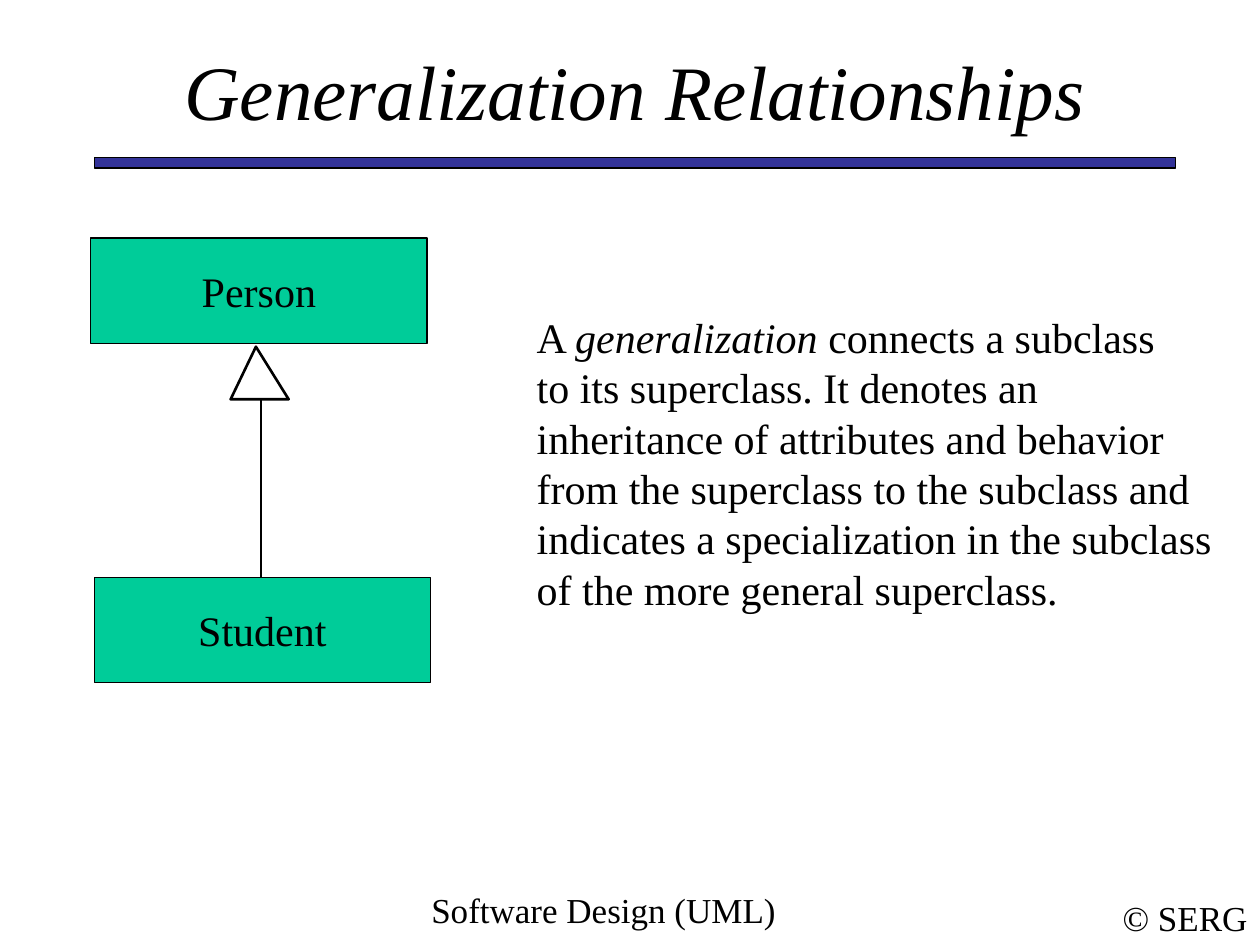
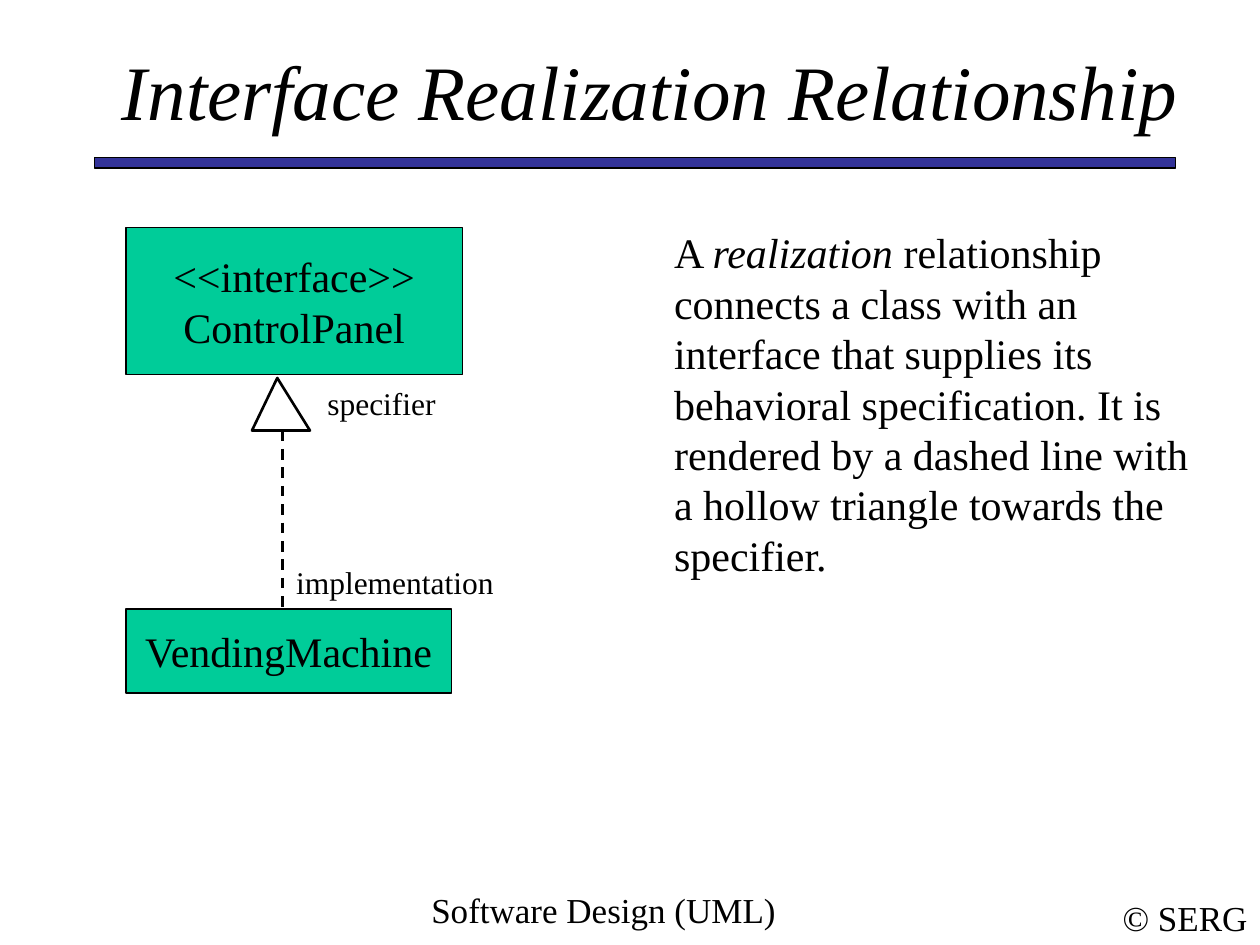
from lxml import etree
from pptx import Presentation
from pptx.dml.color import RGBColor
from pptx.enum.dml import MSO_LINE
from pptx.enum.shapes import MSO_CONNECTOR, MSO_SHAPE
from pptx.enum.text import MSO_ANCHOR, PP_ALIGN
from pptx.oxml.ns import qn
from pptx.util import Cm, Pt

LEFT, CENTER = PP_ALIGN.LEFT, PP_ALIGN.CENTER
TOP, MIDDLE = MSO_ANCHOR.TOP, MSO_ANCHOR.MIDDLE
SOLID, DASH = MSO_LINE.SOLID, MSO_LINE.DASH
RECTANGLE, STRAIGHT = MSO_SHAPE.RECTANGLE, MSO_CONNECTOR.STRAIGHT
TITLE_ONLY = 5

FONT = "Times New Roman"
COLORS = {"text": "000000", "line": "000000", "bar": "333399",
          "class": "00CC99", "triangle": "FFFFFF"}

# Content: boxes are (left, top, width, height) in cm, *stars* mark italics
SLIDES = [
    {
        "title": "Generalization Relationships",
        "title_width": 21.8,
        "classes": [
            (["Person"], (1.83, 4.8, 6.78, 2.12)),
            (["Student"], (1.9, 11.64, 6.78, 2.12)),
        ],
        "arrow": (4.65, 6.99, SOLID),
        "explanation": [
            "A *generalization* connects a subclass",
            "to its superclass. It denotes an",
            "inheritance of attributes and behavior",
            "from the superclass to the subclass and",
            "indicates a specialization in the subclass",
            "of the more general superclass.",
        ],
        "explanation_box": (10.57, 6.15, 14.12, 6.35),
        "wrap": False,
        "roles": [],
    },
    {
        "title": "Interface Realization Relationship",
        "title_width": 22.43,
        "classes": [
            (["<<interface>>", "ControlPanel"], (2.54, 4.59, 6.78, 2.96)),
            (["VendingMachine"], (2.54, 12.28, 6.56, 1.69)),
        ],
        "arrow": (5.08, 7.62, DASH),
        "explanation": [
            "A *realization* relationship connects a class with an interface "
            "that supplies its behavioral specification. It is rendered by a "
            "dashed line with a hollow triangle towards the specifier.",
        ],
        "explanation_box": (13.34, 4.45, 11, 7.37),
        "wrap": True,
        "roles": [
            ("specifier", (6.35, 7.62, 2.75, 1.02)),
            ("implementation", (5.72, 11.23, 4.66, 1.02)),
        ],
    },
]

# Shared slide parts
FOOTER = ("Software Design (UML)", (6.56, 17.78, 11.22, 1.27))
COPYRIGHT = ("© SERG", (22.38, 17.93, 3.02, 1.12))
BAR_BOX = (1.9, 3.18, 21.8, 0.21)

# Arrow measures in cm, from the left and top of the triangle
TRIANGLE_WIDTH, TRIANGLE_HEIGHT = 1.17, 1.06
APEX, STEM, STEM_LENGTH = 0.51, 0.61, 3.59


def color(name):
    return RGBColor.from_string(COLORS[name])


def lengths(values):
    return [Cm(value) for value in values]


def write(shape, lines, size=24, align=LEFT, anchor=TOP, wrap=True, italic=False):
    frame = shape.text_frame
    frame.word_wrap = wrap
    frame.vertical_anchor = anchor
    for index, line in enumerate(lines):
        paragraph = frame.add_paragraph() if index else frame.paragraphs[0]
        paragraph.alignment = align
        paragraph.line_spacing = Pt(size * 1.2)
        paragraph.space_before = Pt(0)
        for part, words in enumerate(line.split("*")):
            run = paragraph.add_run()
            run.text = words
            run.font.name = FONT
            run.font.size = Pt(size)
            run.font.italic = italic or part % 2 == 1
            run.font.color.rgb = color("text")


def add_text(slide, lines, box, **style):
    write(slide.shapes.add_textbox(*lengths(box)), lines, **style)


def paint(shape, fill, width):
    shape.shadow.inherit = False
    shape.fill.solid()
    shape.fill.fore_color.rgb = color(fill)
    shape.line.color.rgb = color("line")
    shape.line.width = Pt(width)


def add_rectangle(slide, box, fill):
    shape = slide.shapes.add_shape(RECTANGLE, *lengths(box))
    paint(shape, fill, 0.75)
    return shape


def add_arrow(slide, left, top, dash):
    base = top + TRIANGLE_HEIGHT
    stem = slide.shapes.add_connector(STRAIGHT, *lengths(
        (left + STEM, base, left + STEM, base + STEM_LENGTH)))
    stem.line.color.rgb = color("line")
    stem.line.width = Pt(1.5)
    stem.line.dash_style = dash
    etree.SubElement(stem._element.spPr, qn("a:effectLst"))

    outline = slide.shapes.build_freeform(Cm(left + APEX), Cm(top))
    corners = [(left, base), (left + TRIANGLE_WIDTH, base)]
    outline.add_line_segments([lengths(corner) for corner in corners], close=True)
    paint(outline.convert_to_shape(), "triangle", 1.5)


def add_frame(presentation, title, title_width):
    slide = presentation.slides.add_slide(presentation.slide_layouts[TITLE_ONLY])
    shape = slide.shapes.title
    shape.left, shape.top, shape.width, shape.height = lengths(
        (1.9, 1.06, title_width, 1.48))
    write(shape, [title], size=44, align=CENTER, anchor=MIDDLE, italic=True)
    add_rectangle(slide, BAR_BOX, "bar")
    for (text, box), anchor, wrap in ((FOOTER, TOP, True), (COPYRIGHT, MIDDLE, False)):
        add_text(slide, [text], box, size=20, align=CENTER, anchor=anchor, wrap=wrap)
    return slide


def main():
    presentation = Presentation()
    presentation.slide_width, presentation.slide_height = Cm(25.4), Cm(19.05)
    for content in SLIDES:
        slide = add_frame(presentation, content["title"], content["title_width"])
        # Class diagram
        for names, box in content["classes"]:
            write(add_rectangle(slide, box, "class"), names,
                  align=CENTER, anchor=MIDDLE, wrap=False)
        add_arrow(slide, *content["arrow"])
        # Explanation and role labels
        add_text(slide, content["explanation"], content["explanation_box"],
                 wrap=content["wrap"])
        for role, box in content["roles"]:
            add_text(slide, [role], box, size=18)
    presentation.save("out.pptx")


if __name__ == "__main__":
    main()
